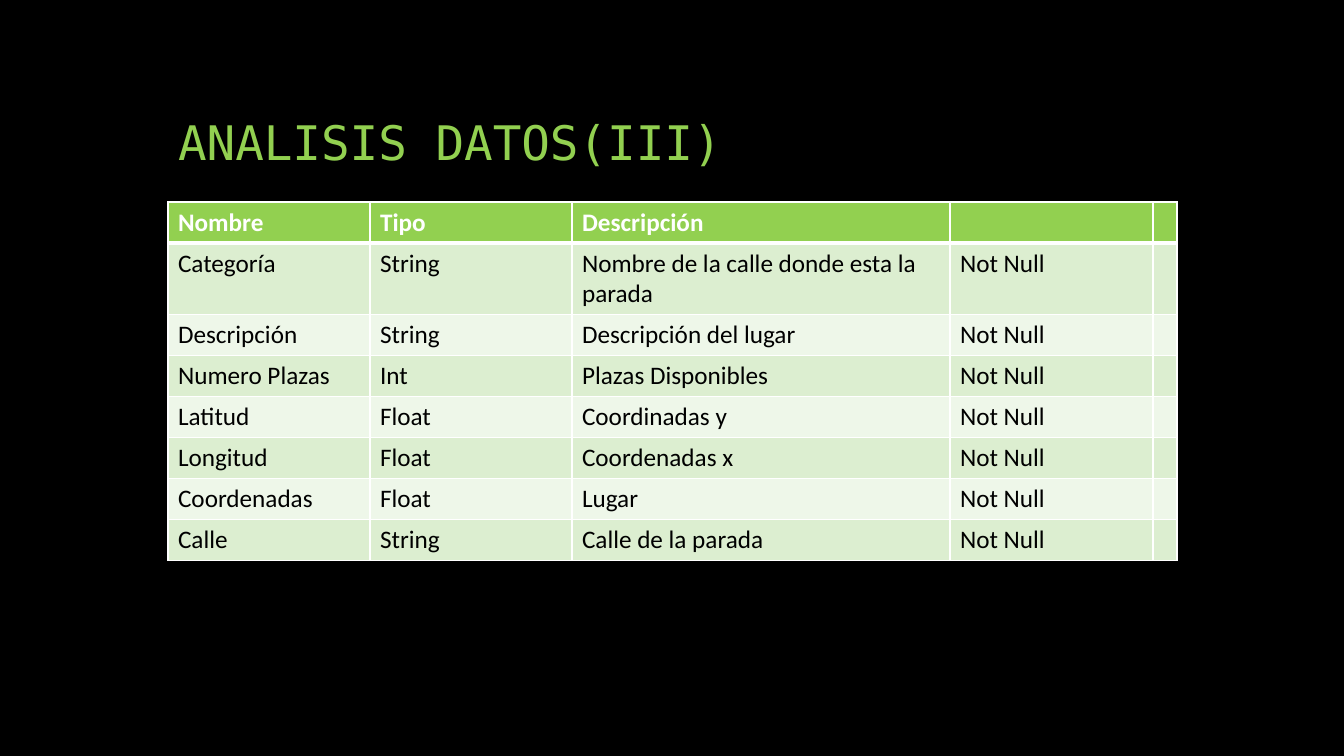
from lxml import etree
from pptx import Presentation
from pptx import util as u
from pptx.dml.color import RGBColor
from pptx.enum import text
from pptx.oxml.ns import qn

TITLE = "ANALISIS DATOS(III)"
ROWS = [
    ("Nombre", "Tipo", "Descripción", "", ""),
    ("Categoría", "String", "Nombre de la calle donde esta la parada", "Not Null", ""),
    ("Descripción", "String", "Descripción del lugar", "Not Null", ""),
    ("Numero Plazas", "Int", "Plazas Disponibles", "Not Null", ""),
    ("Latitud", "Float", "Coordinadas y", "Not Null", ""),
    ("Longitud", "Float", "Coordenadas x", "Not Null", ""),
    ("Coordenadas", "Float", "Lugar", "Not Null", ""),
    ("Calle", "String", "Calle de la parada", "Not Null", ""),
]
COLORS = {"background": "000000", "accent": "92D050", "odd": "DCEED0",
          "even": "EEF7E9", "header_text": "FFFFFF", "body_text": "000000",
          "border": "FFFFFF"}
TITLE_FONT, BODY_FONT = "DejaVu Sans Mono", "Calibri"

SLIDE_W, SLIDE_H = 1344, 756
LEFT, WIDTH = 168, 1008
TITLE_TOP, TITLE_H = 50, 126
TABLE_TOP, ROW_H = 202, 41
COL_WIDTHS = [202, 202, 378, 203, 23]
EMU_PER_PX = 12192000 / SLIDE_W


def px(n):
    return u.Emu(round(n * EMU_PER_PX))


def rgb(name):
    return RGBColor.from_string(COLORS[name])


def add_run(p, content, font, size, color, bold=False):
    r = p.add_run()
    r.text = content
    r.font.name, r.font.size, r.font.bold = font, u.Pt(size), bold
    r.font.color.rgb = rgb(color)


def set_borders(cell, widths):
    """Draw the left, right, top and bottom borders, widths in points."""
    tc_pr = cell._tc.get_or_add_tcPr()
    for i, (side, width) in enumerate(zip("LRTB", widths)):
        ln = etree.Element(qn(f"a:ln{side}"), w=str(u.Pt(width)))
        fill = etree.SubElement(ln, qn("a:solidFill"))
        etree.SubElement(fill, qn("a:srgbClr"), val=COLORS["border"])
        tc_pr.insert(i, ln)


def add_title(s):
    title = s.shapes.title
    title.left, title.top = px(LEFT), px(TITLE_TOP)
    title.width, title.height = px(WIDTH), px(TITLE_H)
    tf = title.text_frame
    tf.word_wrap = True
    tf.auto_size = text.MSO_AUTO_SIZE.NONE
    tf.vertical_anchor = text.MSO_ANCHOR.BOTTOM
    p = tf.paragraphs[0]
    p.alignment = text.PP_ALIGN.LEFT
    p.line_spacing = 0.9
    add_run(p, TITLE, TITLE_FONT, 34, "accent")


def add_data_table(s):
    table = s.shapes.add_table(len(ROWS), len(COL_WIDTHS), px(LEFT), px(TABLE_TOP),
                               px(WIDTH), px(ROW_H * len(ROWS))).table
    for col, width in zip(table.columns, COL_WIDTHS):
        col.width = px(width)
    for i, values in enumerate(ROWS):
        header = i == 0
        fill = "accent" if header else "odd" if i % 2 else "even"
        borders = (1, 1, 3 if i == 1 else 1, 3 if header else 1)
        table.rows[i].height = px(ROW_H)
        for j, value in enumerate(values):
            cell = table.cell(i, j)
            cell.fill.solid()
            cell.fill.fore_color.rgb = rgb(fill)
            set_borders(cell, borders)
            if value:
                add_run(cell.text_frame.paragraphs[0], value, BODY_FONT, 18,
                        "header_text" if header else "body_text", header)


def main():
    prs = Presentation()
    prs.slide_width, prs.slide_height = px(SLIDE_W), px(SLIDE_H)
    s = prs.slides.add_slide(prs.slide_layouts[5])
    s.background.fill.solid()
    s.background.fill.fore_color.rgb = rgb("background")
    add_title(s)
    add_data_table(s)
    prs.save("out.pptx")


if __name__ == "__main__":
    main()
